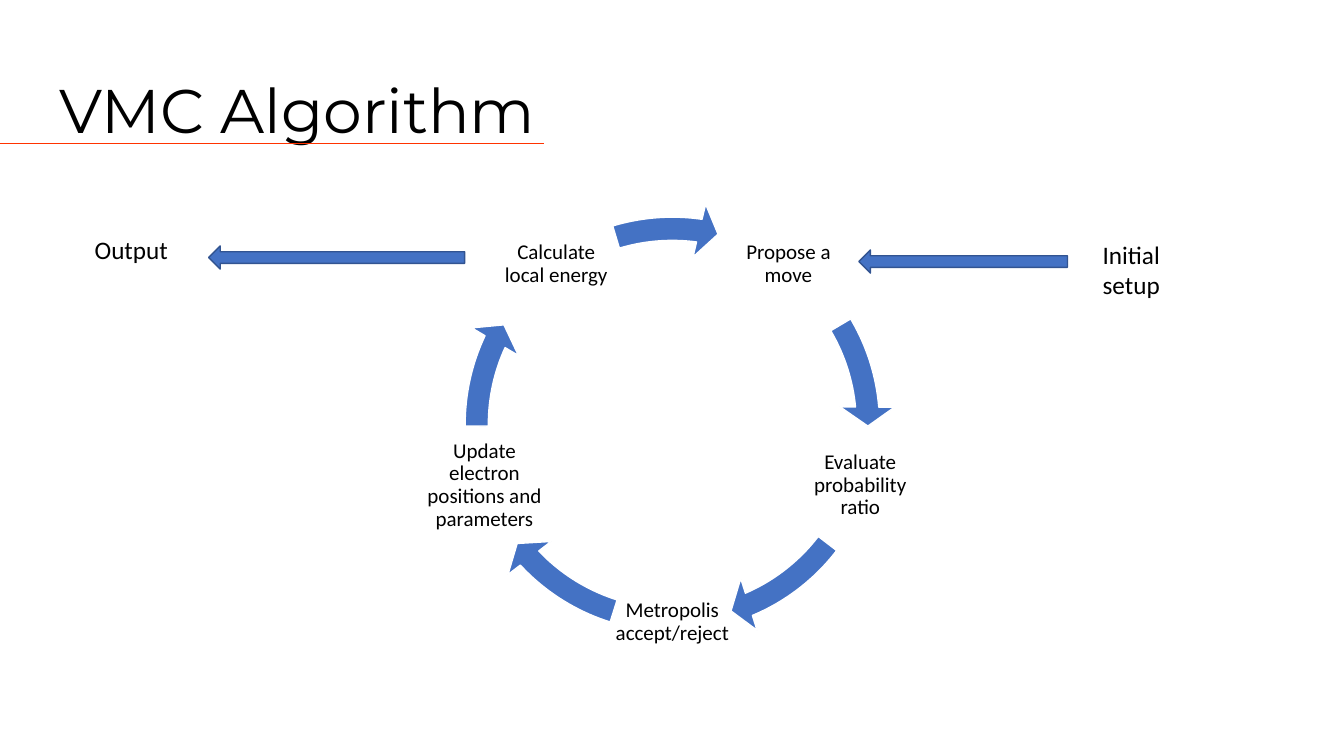
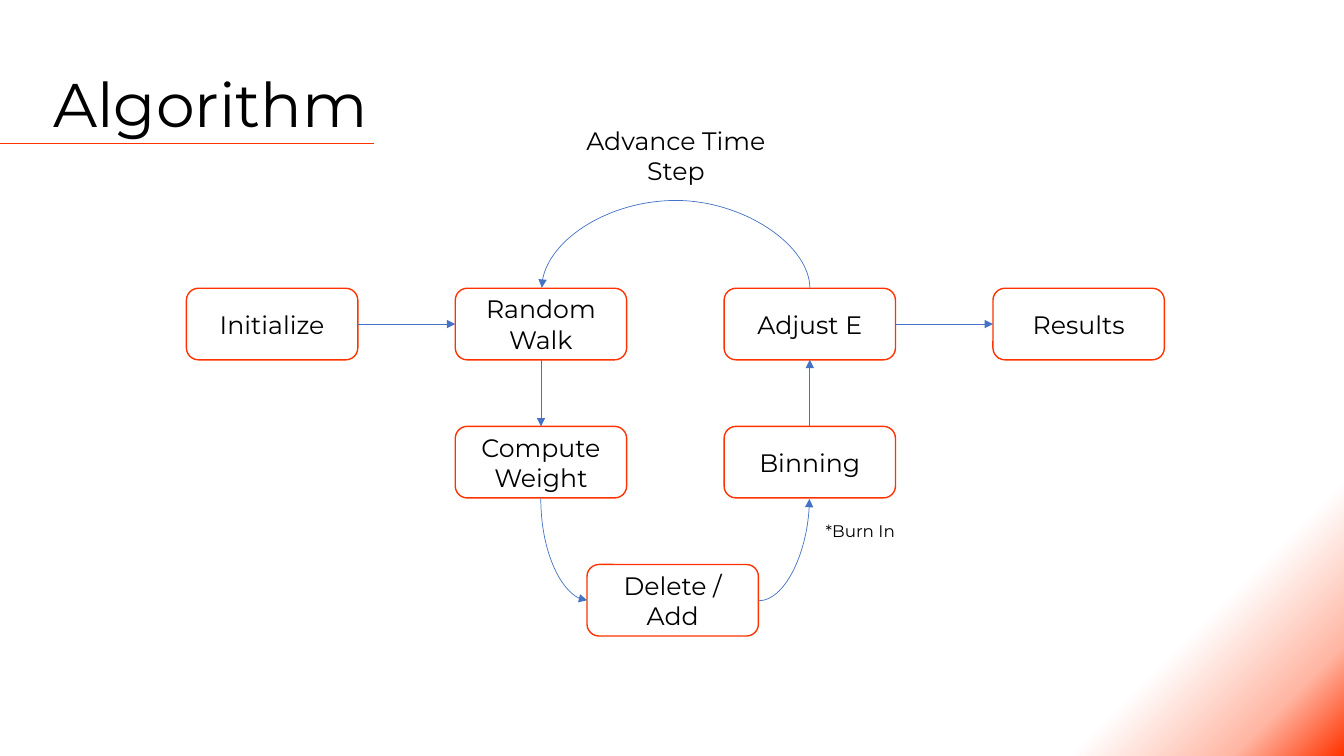
from copy import deepcopy
from math import cos, radians, sin

from lxml.etree import SubElement
from pptx import Presentation
from pptx.dml.color import RGBColor
from pptx.enum.shapes import MSO_CONNECTOR as LINK, MSO_SHAPE as SHAPE
from pptx.enum.text import MSO_ANCHOR as ANCHOR, PP_ALIGN as ALIGN
from pptx.oxml.ns import qn
from pptx.util import Emu, Inches, Pt

COLORS = {"text": "000000", "accent": "FF3300", "blush": "FFB6A3",
          "white": "FFFFFF", "blue": "4472C4", "navy": "325491"}
RGB = {name: RGBColor.from_string(value) for name, value in COLORS.items()}
HEADING, BODY = "Montserrat", "Calibri"
CELL = Inches(0.1)  # side of a square in the layout grid
TOP, LEFT, BOTTOM, RIGHT = range(4)  # connection sites of a rectangle


def cells(*counts):
    """Turn counts of grid squares into lengths."""
    return [Emu(round(count * CELL)) for count in counts]


def write(text, frame, size=18, font=HEADING, align=ALIGN.LEFT,
          anchor=ANCHOR.TOP, spacing=None, inset=None, wrap=True):
    frame.text = text
    frame.word_wrap = wrap
    frame.vertical_anchor = anchor
    if inset is not None:
        frame.margin_left = frame.margin_right = Inches(inset)
        frame.margin_top = frame.margin_bottom = Inches(inset)
    for paragraph in frame.paragraphs:
        paragraph.alignment = align
        paragraph.line_spacing = spacing
        paragraph.font.size = Pt(size)
        paragraph.font.name = font
        paragraph.font.color.rgb = RGB["text"]


deck = Presentation()
deck.slide_width, deck.slide_height = cells(133.33, 75)
lines = []  # connector, colour, has an arrowhead

# Titles with their rules
slides = []
for title, left, top, rule_end in [("VMC Algorithm", 4.9, 4, 54),
                                   ("Algorithm", 4.3, 3.4, 37.1)]:
    slide = deck.slides.add_slide(deck.slide_layouts[6])
    heading = slide.shapes.add_textbox(*cells(left, top, 115, 14.5))
    write(title, heading.text_frame, size=44, anchor=ANCHOR.MIDDLE, spacing=0.9)
    rule = slide.shapes.add_connector(LINK.STRAIGHT, *cells(0, 14.2, rule_end, 14.2))
    lines.append((rule, "accent", False))
    slides.append(slide)
vmc, flow = [slide.shapes for slide in slides]

# VMC: cycle of five steps, each followed by an arrow (start and end in degrees)
CENTER_X, CENTER_Y, RADIUS, STEP, RING = 66.7, 42.1, 19.6, 11.8, 44.2
cycle = [("Propose a move", 329.41, 354.92),
         ("Evaluate probability ratio", 37.52, 66.95),
         ("Metropolis accept/reject", 107.46, 136.89),
         ("Update electron positions and parameters", 179.49, 205),
         ("Calculate local energy", 253.28, 277.93)]
for index, (step, start, end) in enumerate(cycle):
    angle = radians(-54 + index * 360 / len(cycle))
    label = vmc.add_textbox(*cells(CENTER_X + RADIUS * cos(angle) - STEP / 2,
                                   CENTER_Y + RADIUS * sin(angle) - STEP / 2,
                                   STEP, STEP))
    write(step, label.text_frame, size=15, font=BODY, align=ALIGN.CENTER,
          anchor=ANCHOR.MIDDLE, spacing=0.9, inset=0.02)
    arc = vmc.add_shape(SHAPE.CIRCULAR_ARROW, *cells(
        CENTER_X - RING / 2, CENTER_Y - RING / 2, RING, RING))
    # Angles are stored in 60000ths of a degree, adjustments in 100000ths
    for slot, value in enumerate([0.052, 5.59 * 0.6, end * 0.6, start * 0.6, 0.061]):
        arc.adjustments[slot] = value
    arc.shadow.inherit = False
    arc.fill.solid()
    arc.fill.fore_color.rgb = RGB["blue"]
    arc.line.color.rgb = RGB["white"]
    arc.line.width = Pt(1)

# VMC: arrows into and out of the cycle
for text, text_box, arrow_box in [
        ("Initial setup", (108.4, 23.2, 9.8, 7.1), (85.2, 24.8, 20.7, 2.3)),
        ("Output", (8.4, 22.8, 9.8, 4), (20.7, 24.4, 25.4, 2.3))]:
    arrow = vmc.add_shape(SHAPE.LEFT_ARROW, *cells(*arrow_box))
    arrow.shadow.inherit = False
    arrow.fill.solid()
    arrow.fill.fore_color.rgb = RGB["blue"]
    arrow.line.color.rgb = RGB["navy"]
    arrow.line.width = Pt(1)
    write(text, vmc.add_textbox(*cells(*text_box)).text_frame, font=BODY)

# Flow: corner glow
glow = flow.add_shape(SHAPE.RECTANGLE, *cells(102.4, 47.4, 30.93, 27.6))
glow.shadow.inherit = False
glow.line.fill.background()
glow.fill.gradient()
glow.fill.gradient_angle = 135
stop_list = glow._element.spPr.find(".//" + qn("a:gsLst"))
stop_list.append(deepcopy(stop_list[0]))
for stop, (position, color) in zip(glow.fill.gradient_stops, [
        (0, "accent"), (0.19, "blush"), (0.47, "white")]):
    stop.position = position
    stop.color.rgb = RGB[color]

# Flow: steps by column and row
COLUMN, ROW = 26.67, 13.7
steps = {}
for text, column, row in [("Initialize", 0, 0), ("Random Walk", 1, 0),
                          ("Compute Weight", 1, 1), ("Delete / Add", 1.49, 2),
                          ("Binning", 2, 1), ("Adjust E", 2, 0), ("Results", 3, 0)]:
    step = flow.add_shape(SHAPE.ROUNDED_RECTANGLE, *cells(
        18.5 + column * COLUMN, 28.6 + row * ROW, 17, 7.1))
    step.shadow.inherit = False
    step.fill.background()
    step.line.color.rgb = RGB["accent"]
    step.line.width = Pt(1)
    write(text, step.text_frame, align=ALIGN.CENTER, anchor=ANCHOR.MIDDLE)
    steps[text] = step

# Flow: links; a bend gives preset, box before rotation, rotation, flip, adjustment
for source, source_side, target, target_side, bend in [
        ("Initialize", RIGHT, "Random Walk", LEFT, None),
        ("Random Walk", BOTTOM, "Compute Weight", TOP, None),
        ("Compute Weight", BOTTOM, "Delete / Add", LEFT,
         ("curvedConnector2", (50.9, 52.2, 10.1, 4.6), 270, "flipH", None)),
        ("Delete / Add", RIGHT, "Binning", BOTTOM,
         ("curvedConnector2", (75.3, 49.5, 5, 10.1), 0, "flipV", None)),
        ("Binning", TOP, "Adjust E", BOTTOM, None),
        ("Adjust E", TOP, "Random Walk", TOP,
         ("curvedConnector3", (67, 15.3, 0.1, 26.6), 270, "flipV", 8900000)),
        ("Adjust E", RIGHT, "Results", LEFT, None)]:
    link = flow.add_connector(LINK.CURVE if bend else LINK.STRAIGHT, 0, 0, 0, 0)
    link.begin_connect(steps[source], source_side)
    link.end_connect(steps[target], target_side)
    if bend:
        preset, box, rotation, flip, adjustment = bend
        link.left, link.top, link.width, link.height = cells(*box)
        link.rotation = rotation
        frame = link._element.spPr.find(qn("a:xfrm"))
        for side in ("flipH", "flipV"):
            frame.set(side, "1" if side == flip else "0")
        geometry = link._element.spPr.find(qn("a:prstGeom"))
        geometry.set("prst", preset)
        if adjustment:
            SubElement(geometry.find(qn("a:avLst")), qn("a:gd"),
                       name="adj1", fmla=f"val {adjustment}")
    lines.append((link, "blue", True))

# Flow: captions
caption = flow.add_textbox(*cells(57, 11.9, 20.1, 7.1))
write("Advance Time\nStep", caption.text_frame, align=ALIGN.CENTER, wrap=False)
footnote = flow.add_textbox(*cells(79.8, 51.2, 11.1, 3))
write("*Burn In", footnote.text_frame, size=12, align=ALIGN.CENTER)

# Line style of rules and links
for line, color, has_head in lines:
    line.line.color.rgb = RGB[color]
    line.line.width = Pt(0.5)
    properties = line._element.spPr
    if has_head:
        SubElement(properties.find(qn("a:ln")), qn("a:tailEnd"), type="triangle")
    SubElement(properties, qn("a:effectLst"))

deck.save("out.pptx")
